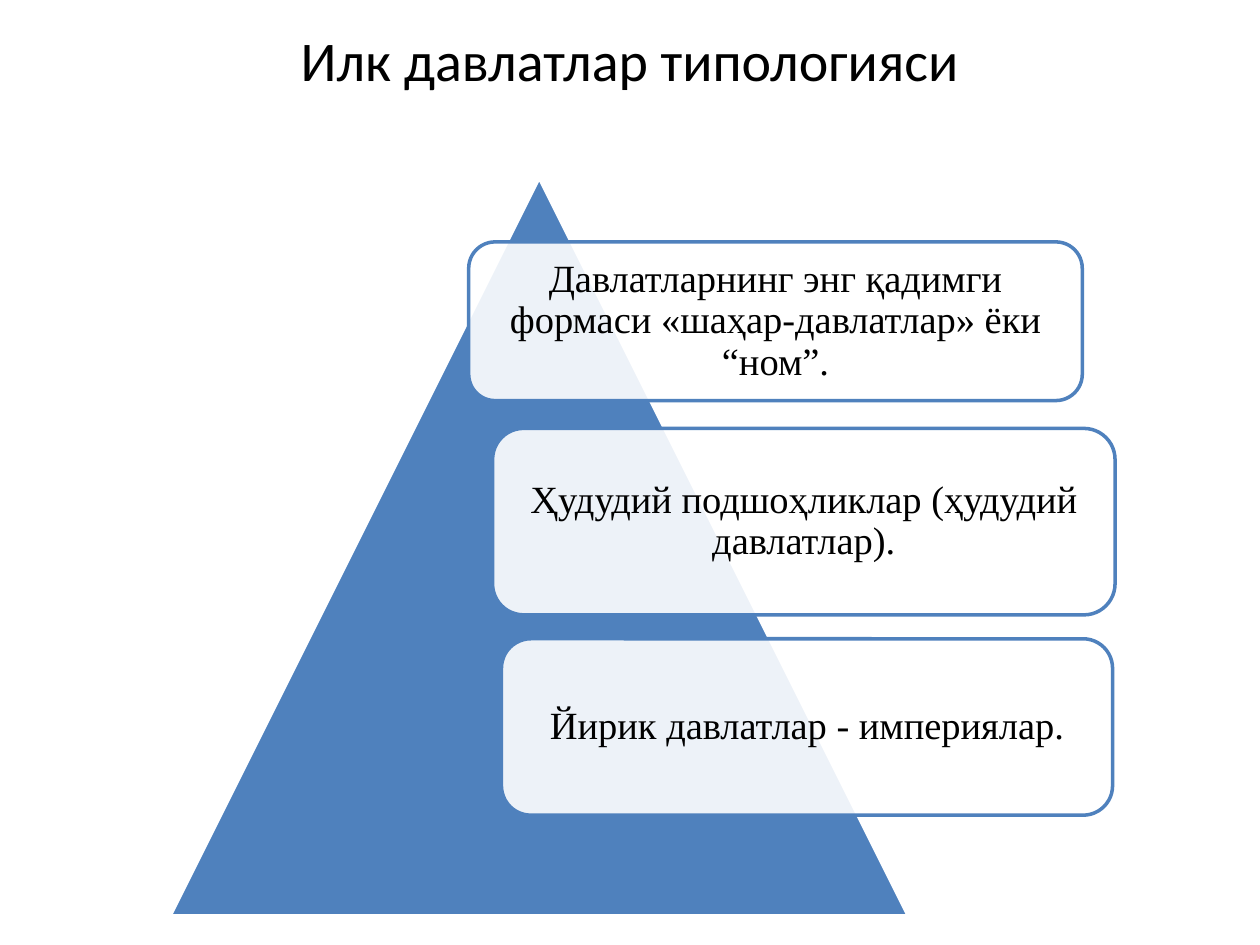
"""Build the slide on the typology of early states."""
import pptx
import pptx.dml.color
import pptx.enum.shapes
import pptx.enum.text
import pptx.oxml.ns
import pptx.util
from lxml import etree

Inches = pptx.util.Inches
Pt = pptx.util.Pt
RGBColor = pptx.dml.color.RGBColor
MSO_SHAPE = pptx.enum.shapes.MSO_SHAPE

BLUE = RGBColor(0x4F, 0x81, 0xBD)
WHITE = RGBColor(0xFF, 0xFF, 0xFF)
BLACK = RGBColor(0, 0, 0)

FRAME = {
    "word_wrap": True,
    "vertical_anchor": pptx.enum.text.MSO_ANCHOR.MIDDLE,
    "auto_size": pptx.enum.text.MSO_AUTO_SIZE.NONE,
}
INSETS = {f"margin_{side}": Inches(0.09) for side in ("left", "top", "right", "bottom")}
TITLE_FONT = {"name": "Calibri", "size": Pt(32), "bold": False}
CARD_FONT = {"name": "Times New Roman", "size": Pt(22)}

CARDS = [
    ("Давлатларнинг энг қадимги формаси «шаҳар-давлатлар» ёки “ном”.", (3.72, 1.92, 4.87, 1.26)),
    ("Ҳудудий подшоҳликлар (ҳудудий давлатлар).", (3.91, 3.4, 4.94, 1.48)),
    ("Йирик давлатлар - империялар.", (3.98, 5.07, 4.85, 1.4)),
]


def set_attrs(obj, values):
    """Set each named attribute of an object."""
    for name, value in values.items():
        setattr(obj, name, value)


def write_text(tf, text, font):
    """Write one centred paragraph and return it."""
    set_attrs(tf, FRAME)
    p = tf.paragraphs[0]
    p.alignment = pptx.enum.text.PP_ALIGN.CENTER
    r = p.add_run()
    r.text = text
    set_attrs(r.font, font)
    r.font.color.rgb = BLACK
    return p


def add_title(s, text, box):
    """Place and fill the title placeholder."""
    title = s.shapes.title
    set_attrs(title, dict(zip(("left", "top", "width", "height"), map(Inches, box))))
    write_text(title.text_frame, text, TITLE_FONT)


def add_shape(s, kind, box, fill, line):
    """Add a flat shape with a solid fill and outline."""
    sp = s.shapes.add_shape(kind, *map(Inches, box))
    sp.shadow.inherit = False
    sp.fill.solid()
    sp.fill.fore_color.rgb = fill
    sp.line.color.rgb = line
    sp.line.width = Pt(2)
    return sp


def set_opacity(sp, percent):
    """Make the solid fill of a shape partly transparent."""
    qn = pptx.oxml.ns.qn
    color = sp.fill._xPr.find(qn("a:solidFill")).find(qn("a:srgbClr"))
    etree.SubElement(color, qn("a:alpha"), val=str(percent * 1000))


def add_card(s, text, box):
    """Add a translucent rounded card with its text."""
    sp = add_shape(s, MSO_SHAPE.ROUNDED_RECTANGLE, box, WHITE, BLUE)
    set_opacity(sp, 90)
    set_attrs(sp.text_frame, INSETS)
    p = write_text(sp.text_frame, text, CARD_FONT)
    p.line_spacing = 0.9


def main():
    """Build and save the slide."""
    prs = pptx.Presentation()
    prs.slide_width, prs.slide_height = Inches(10), Inches(7.5)
    s = prs.slides.add_slide(prs.slide_layouts[5])
    add_title(s, "Илк давлатлар типологияси", (0.5, 0, 9, 0.94))
    add_shape(s, MSO_SHAPE.ISOSCELES_TRIANGLE, (1.35, 1.41, 5.86, 5.86), BLUE, WHITE)
    for text, box in CARDS:
        add_card(s, text, box)
    prs.save("out.pptx")


if __name__ == "__main__":
    main()
